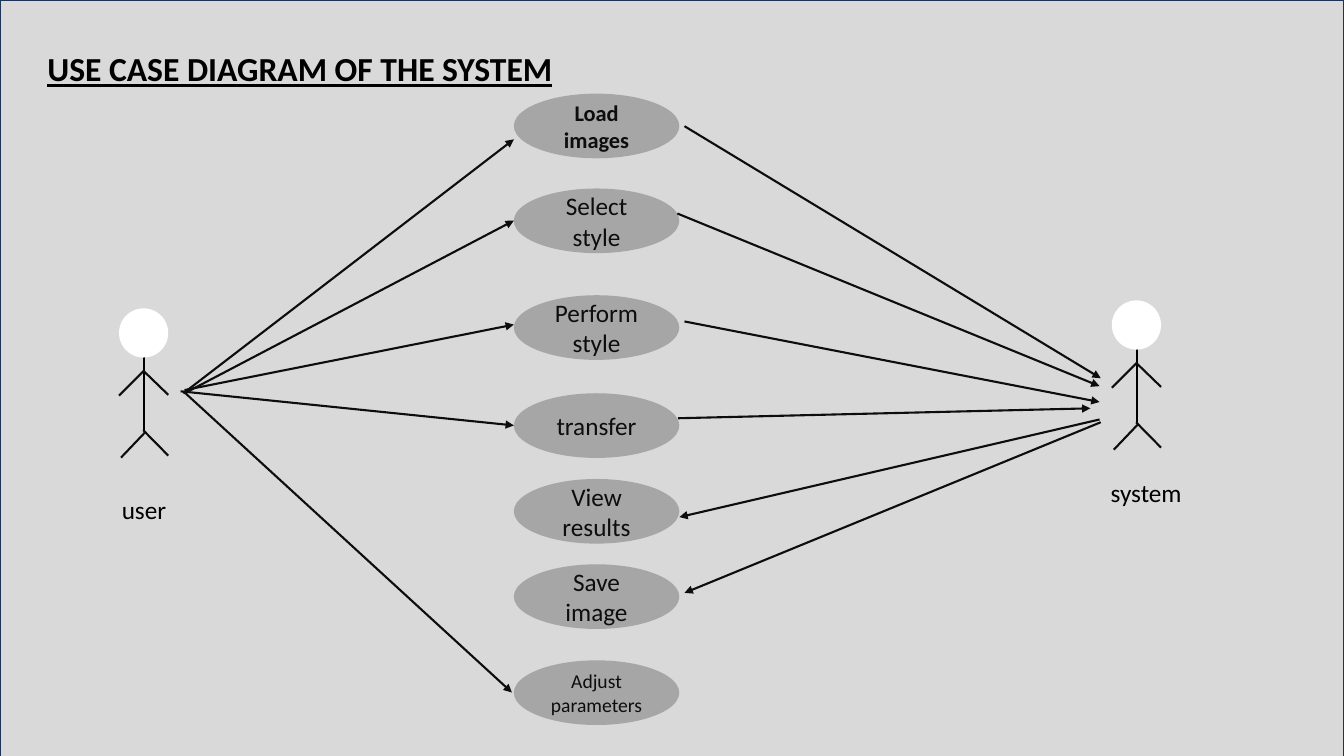
"""Build the use case diagram slide."""
import pptx
import pptx.util
import pptx.dml.color
import pptx.enum.shapes
import pptx.enum.text
import lxml.etree

Cm = pptx.util.Cm
Pt = pptx.util.Pt
RGBColor = pptx.dml.color.RGBColor
KIND = pptx.enum.shapes.MSO_SHAPE
ALIGN = pptx.enum.text.PP_ALIGN
ANCHOR = pptx.enum.text.MSO_ANCHOR

GREY = RGBColor(0xD9, 0xD9, 0xD9)
NAVY = RGBColor(0x1E, 0x32, 0x56)
OVAL = RGBColor(0xA6, 0xA6, 0xA6)
WHITE = RGBColor(0xFF, 0xFF, 0xFF)
BLACK = RGBColor(0, 0, 0)
INK = RGBColor(0x0D, 0x0D, 0x0D)

WIDE, HIGH = 33.87, 19.05
TITLE = "USE CASE DIAGRAM OF THE SYSTEM"
LEFT, OVAL_W, OVAL_H = 12.95, 4.17, 1.63
CASES = [
    ("Load images", 2.36, 16, True),
    ("Select style", 4.75, 18, False),
    ("Perform style", 7.44, 18, False),
    ("transfer", 9.91, 18, False),
    ("View results", 12.07, 18, False),
    ("Save image", 14.22, 18, False),
    ("Adjust parameters", 16.64, 14, False),
]
ACTORS = [
    ("user", (3.0, 7.77), (2.82, 12.32, 4.17, 1.02)),
    ("system", (28.02, 7.57), (27.74, 11.91, 4.72, 1.02)),
]
HEAD = 1.24
LIMBS = [
    (0.63, 1.22, 0.63, 3.1, BLACK),
    (1.24, 2.18, 0.61, 1.57, INK),
    (0.63, 1.57, 0, 2.2, INK),
    (0.66, 3.12, 0.05, 3.76, INK),
    (1.24, 3.71, 0.61, 3.07, INK),
]
ARROWS = [
    (4.62, 9.91, 12.95, 3.51),
    (4.65, 9.91, 12.95, 5.56),
    (4.65, 9.83, 12.95, 8.18),
    (4.55, 9.86, 12.95, 10.72),
    (4.62, 9.86, 12.9, 17.45),
    (17.25, 3.18, 27.74, 9.53),
    (17.07, 5.38, 27.71, 9.73),
    (17.25, 8.1, 27.71, 10.13),
    (17.09, 10.54, 27.48, 10.29),
    (27.71, 10.57, 17.12, 13.03),
    (27.74, 10.64, 17.25, 14.94),
]


def write(shape, text, size=18, color=BLACK, bold=False, under=False,
          align=ALIGN.LEFT, anchor=ANCHOR.TOP):
    """Put formatted text in a shape."""
    frame = shape.text_frame
    frame.word_wrap = True
    frame.auto_size = pptx.enum.text.MSO_AUTO_SIZE.NONE
    frame.vertical_anchor = anchor
    para = frame.paragraphs[0]
    para.alignment = align
    run = para.add_run()
    run.text = text
    font = run.font
    font.name, font.size = "Calibri", Pt(size)
    font.bold, font.underline = bold, under
    font.color.rgb = color


def draw(shapes, kind, box, fill, edge=None):
    """Add a filled shape with an optional edge."""
    shape = shapes.add_shape(kind, *map(Cm, box))
    shape.shadow.inherit = False
    shape.fill.solid()
    shape.fill.fore_color.rgb = fill
    if edge is None:
        shape.line.fill.background()
    else:
        shape.line.color.rgb = edge
        shape.line.width = Pt(1)
    return shape


def link(shapes, ends, color=INK, arrow=False):
    """Add a straight line, with an arrowhead if asked."""
    line = shapes.add_connector(pptx.enum.shapes.MSO_CONNECTOR.STRAIGHT,
                                *map(Cm, ends))
    line.line.color.rgb = color
    line.line.width = Pt(1.5)
    props = line.element.spPr
    space = pptx.oxml.ns.qn
    if arrow:
        tail = lxml.etree.SubElement(props.find(space("a:ln")),
                                     space("a:tailEnd"))
        tail.set("type", "triangle")
    lxml.etree.SubElement(props, space("a:effectLst"))


def actor(shapes, name, spot, box):
    """Add a stick figure and its label."""
    x, y = spot
    group = shapes.add_group_shape().shapes
    for x1, y1, x2, y2, color in LIMBS:
        link(group, (x + x1, y + y1, x + x2, y + y2), color)
    draw(group, KIND.OVAL, (x, y, HEAD, HEAD), WHITE)
    write(shapes.add_textbox(*map(Cm, box)), name)


def main():
    """Compose and save the slide."""
    deck = pptx.Presentation()
    deck.slide_width, deck.slide_height = Cm(WIDE), Cm(HIGH)
    slide = deck.slides.add_slide(deck.slide_layouts[5])
    shapes = slide.shapes

    title = shapes.title
    title.left, title.top = Cm(0.94), Cm(1.09)
    title.width, title.height = Cm(17.4), Cm(1.27)
    write(title, TITLE, size=24, bold=True, under=True)
    panel = draw(shapes, KIND.RECTANGLE, (0, 0, WIDE, 19.18), GREY, NAVY)
    title.element.addprevious(panel.element)

    for text, top, size, bold in CASES:
        oval = draw(shapes, KIND.OVAL, (LEFT, top, OVAL_W, OVAL_H), OVAL)
        write(oval, text, size=size, color=INK, bold=bold,
              align=ALIGN.CENTER, anchor=ANCHOR.MIDDLE)
    for name, spot, box in ACTORS:
        actor(shapes, name, spot, box)
    for ends in ARROWS:
        link(shapes, ends, arrow=True)

    deck.save("out.pptx")


if __name__ == "__main__":
    main()
